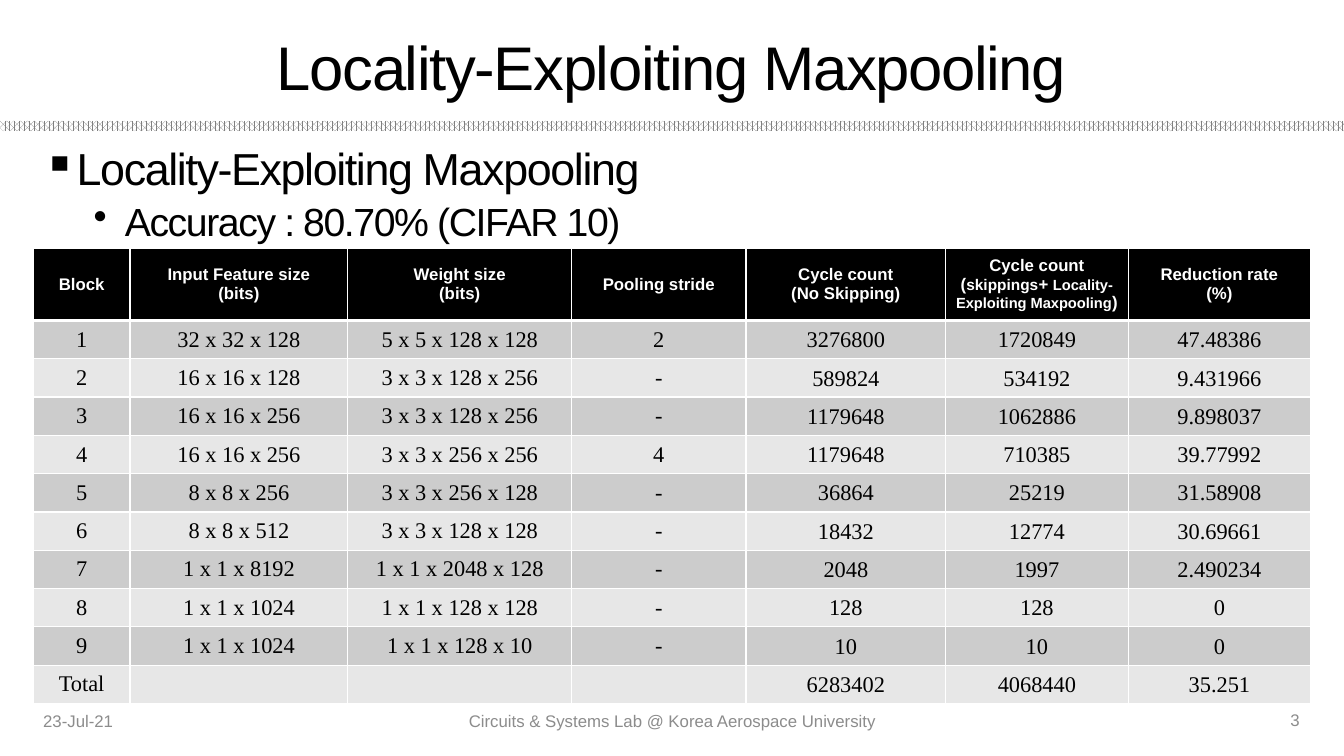
from pptx import Presentation
from pptx.dml.color import RGBColor as RGB
from pptx.enum.dml import MSO_PATTERN as PAT
from pptx.enum.shapes import MSO_SHAPE as SHAPE
from pptx.enum.text import MSO_ANCHOR as ANC, PP_ALIGN as AL
from pptx.oxml import parse_xml
from pptx.oxml.ns import nsdecls
from pptx.util import Inches, Pt

HUES = {"ink": "000000", "paper": "FFFFFF", "rule": "808080",
        "note": "8C8C8C", "odd": "CCCCCC", "even": "E7E7E7"}
TOPIC = "Locality-Exploiting Maxpooling"
BULLETS = [("▪", 0.31, 32, 10, TOPIC),
           ("•", 0.81, 28, 5, "Accuracy : 80.70% (CIFAR 10)")]
HANG = 0.31
NOTES = [((0.33, 6.95, 3, 0.4), AL.LEFT, "23-Jul-21"),
         ((4.42, 6.95, 4.5, 0.4), AL.CENTER,
          "Circuits & Systems Lab @ Korea Aerospace University"),
         ((9.95, 6.94, 3.04, 0.4), AL.RIGHT, "3")]
COLS = [0.96, 2.16, 2.22, 1.73, 1.98, 1.81, 1.81]
HEAD_H, ROW_H = 0.72, 0.38
HEADS = [["Block"], ["Input Feature size", "(bits)"], ["Weight size", "(bits)"],
         ["Pooling stride"], ["Cycle count", "(No Skipping)"],
         ["Cycle count", [("(", 12), ("skippings", 11), ("+ ", 12),
                          (TOPIC, 10.5), (")", 12)]],
         ["Reduction rate", "(%)"]]
ROWS = [
    ("1", "32 x 32 x 128", "5 x 5 x 128 x 128", "2", "3276800", "1720849", "47.48386"),
    ("2", "16 x 16 x 128", "3 x 3 x 128 x 256", "-", "589824", "534192", "9.431966"),
    ("3", "16 x 16 x 256", "3 x 3 x 128 x 256", "-", "1179648", "1062886", "9.898037"),
    ("4", "16 x 16 x 256", "3 x 3 x 256 x 256", "4", "1179648", "710385", "39.77992"),
    ("5", "8 x 8 x 256", "3 x 3 x 256 x 128", "-", "36864", "25219", "31.58908"),
    ("6", "8 x 8 x 512", "3 x 3 x 128 x 128", "-", "18432", "12774", "30.69661"),
    ("7", "1 x 1 x 8192", "1 x 1 x 2048 x 128", "-", "2048", "1997", "2.490234"),
    ("8", "1 x 1 x 1024", "1 x 1 x 128 x 128", "-", "128", "128", "0"),
    ("9", "1 x 1 x 1024", "1 x 1 x 128 x 10", "-", "10", "10", "0"),
    ("Total", "", "", "", "6283402", "4068440", "35.251"),
]


def hue(name):
    """Return the named colour."""
    return RGB.from_string(HUES[name])


def style(para, size, tint="ink", face="Arial", bold=False, align=AL.LEFT):
    """Set the font and alignment of a paragraph."""
    font = para.font
    font.size, font.name, font.bold = Pt(size), face, bold
    font.color.rgb = hue(tint)
    para.alignment = align


def tighten(para):
    """Draw the letters of a paragraph one point closer."""
    for run in para.runs:
        run._r.get_or_add_rPr().set("spc", "-100")


def place(shape, box):
    """Move a shape to a box given in inches."""
    shape.left, shape.top, shape.width, shape.height = map(Inches, box)


def add_text(slide, box, anchor):
    """Add a wrapping text box and return its frame."""
    frame = slide.shapes.add_textbox(*map(Inches, box)).text_frame
    frame.word_wrap, frame.vertical_anchor = True, anchor
    return frame


def add_rule(slide, box):
    """Add the patterned band below the title."""
    band = slide.shapes.add_shape(SHAPE.RECTANGLE, *map(Inches, box))
    band.shadow.inherit = False
    band.line.fill.background()
    band.fill.patterned()
    band.fill.pattern = PAT.PERCENT_70
    band.fill.fore_color.rgb = hue("rule")
    band.fill.back_color.rgb = hue("paper")


def add_title(slide, box):
    """Fill and place the title."""
    title = slide.shapes.title
    place(title, box)
    frame = title.text_frame
    frame.text, frame.vertical_anchor = TOPIC, ANC.MIDDLE
    style(frame.paragraphs[0], 44, align=AL.CENTER)
    tighten(frame.paragraphs[0])


def add_body(slide, box):
    """Add the two bulleted lines."""
    frame = add_text(slide, box, ANC.TOP)
    for i, (mark, indent, size, gap, text) in enumerate(BULLETS):
        para = frame.add_paragraph() if i else frame.paragraphs[0]
        para.text, para.level = text, i
        para.line_spacing, para.space_before = 0.9, Pt(gap)
        style(para, size)
        tighten(para)
        props = para._p.get_or_add_pPr()
        props.set("marL", str(Inches(indent)))
        props.set("indent", str(-Inches(HANG)))
        bullet = parse_xml(f'<a:buChar {nsdecls("a")} char="{mark}"/>')
        props.insert_element_before(bullet, "a:tabLst", "a:defRPr", "a:extLst")


def add_edges(cell, top, bottom):
    """Give a cell white borders, with the top and bottom widths in points."""
    props = cell._tc.get_or_add_tcPr()
    for i, (side, width) in enumerate(zip("LRTB", (1, 1, top, bottom))):
        props.insert(i, parse_xml(
            f'<a:ln{side} {nsdecls("a")} w="{Pt(width)}"><a:solidFill>'
            f'<a:srgbClr val="{HUES["paper"]}"/></a:solidFill></a:ln{side}>'))


def fill_cell(cell, lines, shade, tight, **look):
    """Write the lines of a cell and set its fill and margins."""
    cell.fill.solid()
    cell.fill.fore_color.rgb = hue(shade)
    cell.vertical_anchor = ANC.MIDDLE
    if tight:
        cell.margin_left = cell.margin_right = cell.margin_top = Inches(0.01)
        cell.margin_bottom = 0
    frame = cell.text_frame
    for i, line in enumerate(lines):
        para = frame.add_paragraph() if i else frame.paragraphs[0]
        style(para, align=AL.CENTER, **look)
        if isinstance(line, str):
            para.text = line
            continue
        for text, size in line:
            run = para.add_run()
            run.text, run.font.size = text, Pt(size)


def add_grid(slide, box):
    """Add the table of cycle counts."""
    table = slide.shapes.add_table(len(ROWS) + 1, len(COLS), *map(Inches, box)).table
    for col, width in zip(table.columns, COLS):
        col.width = Inches(width)
    for r, row in enumerate(table.rows):
        row.height = Inches(ROW_H if r else HEAD_H)
        for c, cell in enumerate(row.cells):
            if r:
                text = ROWS[r - 1][c]
                fill_cell(cell, [text], "odd" if r % 2 else "even",
                          c > 3 or not text, size=16, face="Times New Roman")
            else:
                fill_cell(cell, HEADS[c], "ink", False,
                          size=12, tint="paper", bold=True)
            add_edges(cell, 3 if r == 1 else 1, 1 if r else 3)


def add_notes(slide):
    """Add the date, the lab and the page number."""
    for box, align, text in NOTES:
        frame = add_text(slide, box, ANC.MIDDLE)
        frame.text = text
        style(frame.paragraphs[0], 12, "note", align=align)


def build():
    """Build the slide and save it."""
    deck = Presentation()
    deck.slide_width, deck.slide_height = Inches(13.33), Inches(7.5)
    slide = deck.slides.add_slide(deck.slide_layouts[5])
    add_rule(slide, (0, 1.2, 13.33, 0.1))
    add_body(slide, (0.33, 1.41, 12.66, 5.35))
    add_notes(slide)
    add_title(slide, (0.33, 0.22, 12.66, 0.87))
    add_grid(slide, (0.33, 2.46, sum(COLS), HEAD_H + ROW_H * len(ROWS)))
    deck.save("out.pptx")


build()
